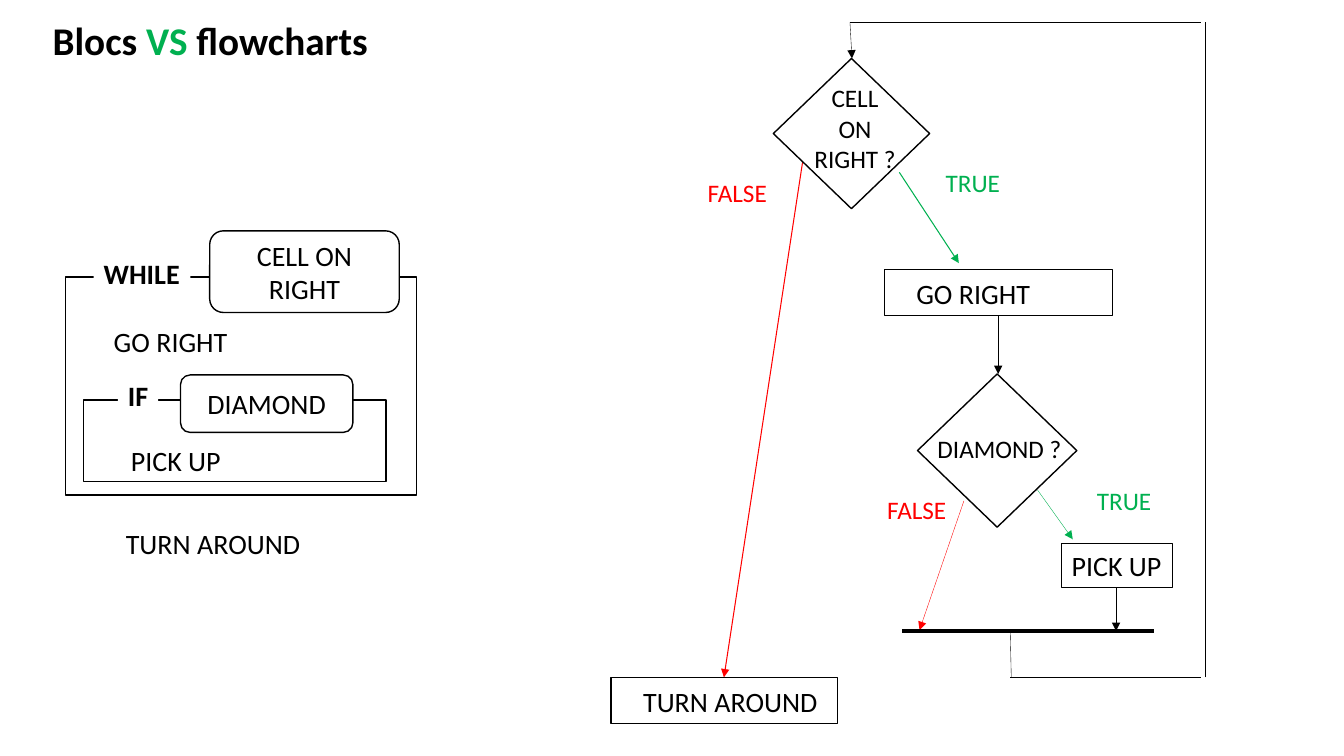
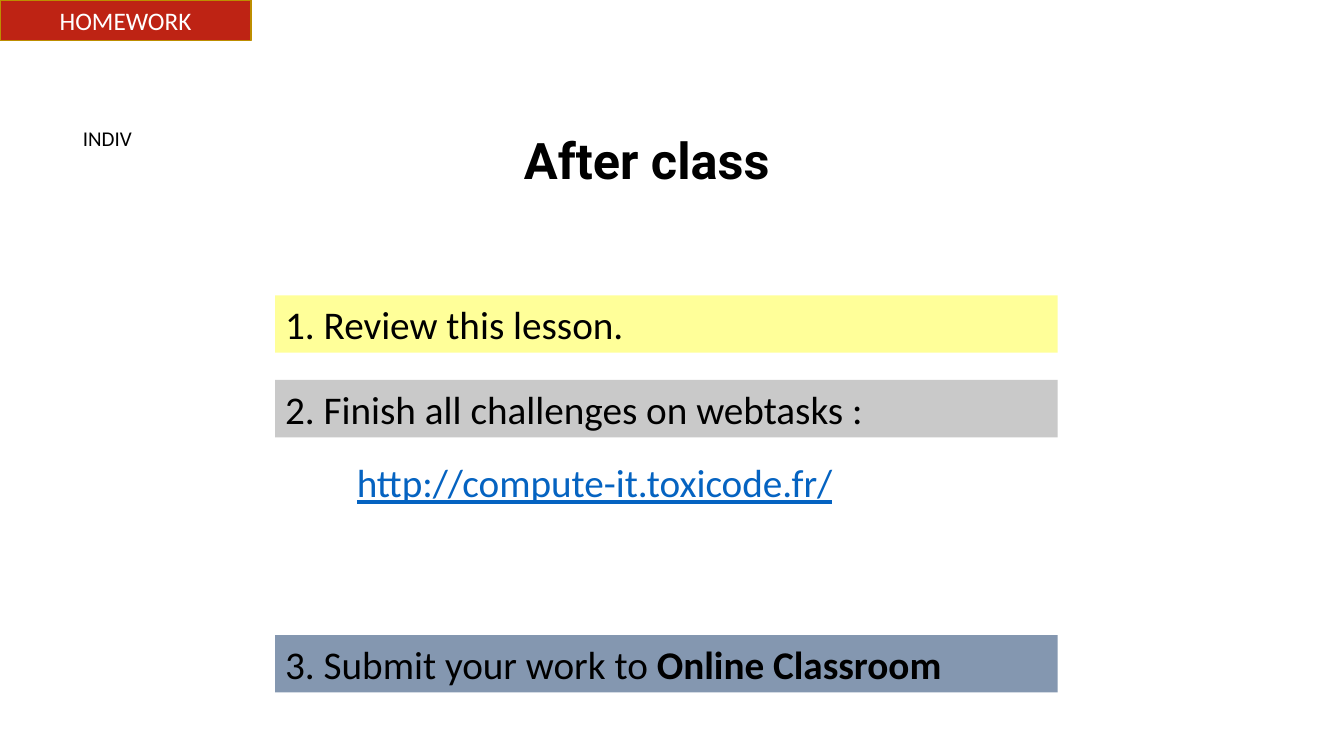
from dataclasses import dataclass

from lxml.etree import SubElement
from pptx import Presentation
from pptx.dml.color import RGBColor
from pptx.enum.shapes import MSO_CONNECTOR, MSO_SHAPE
from pptx.enum.text import MSO_ANCHOR, MSO_AUTO_SIZE, PP_ALIGN
from pptx.oxml.ns import qn
from pptx.shapes.base import BaseShape
from pptx.slide import Slide
from pptx.util import Pt

RECTANGLE = MSO_SHAPE.RECTANGLE
ROUNDED = MSO_SHAPE.ROUNDED_RECTANGLE
DIAMOND = MSO_SHAPE.DIAMOND
STRAIGHT = MSO_CONNECTOR.STRAIGHT
TOP, MIDDLE = MSO_ANCHOR.TOP, MSO_ANCHOR.MIDDLE
LEFT, CENTER = PP_ALIGN.LEFT, PP_ALIGN.CENTER
FIT_SHAPE, FIXED = MSO_AUTO_SIZE.SHAPE_TO_FIT_TEXT, MSO_AUTO_SIZE.NONE

EMU_PER_PX = 9144
SLIDE_WIDTH, SLIDE_HEIGHT = 1333, 750
TITLE_ONLY = 5
STEP_INDENT = 22


@dataclass(frozen=True)
class Theme:
    font: str = "Calibri"
    heading_font: str = "Roboto"
    black: str = "000000"
    white: str = "FFFFFF"
    true: str = "00B050"
    false: str = "FF0000"
    link: str = "0563C1"
    tag: str = "BE2314"
    tag_line: str = "BD8E00"
    yellow: str = "FFFF99"
    gray: str = "C9C9C9"
    blue: str = "8497B0"
    note: int = 15
    label: int = 18
    block: int = 20
    large: int = 28
    heading: int = 36
    hairline: float = 0.25
    thin: float = 0.75
    outline: float = 1
    bar: float = 3


THEME = Theme()


@dataclass(frozen=True)
class Span:
    text: str
    size: int = THEME.block
    color: str = THEME.black
    bold: bool = False
    underline: bool = False
    font: str = THEME.font


Area = tuple[int, int, int, int]
Lines = tuple[tuple[Span, ...], ...]


@dataclass(frozen=True)
class Box:
    """A text box when preset is None, otherwise a preset shape."""
    area: Area
    lines: Lines = ()
    preset: MSO_SHAPE | None = None
    fill: str | None = None
    line: str | None = None
    weight: float = THEME.outline
    align: PP_ALIGN = LEFT
    anchor: MSO_ANCHOR = TOP
    wrap: bool = True
    grow: bool = True
    step: bool = False


@dataclass(frozen=True)
class Arrow:
    start: tuple[int, int]
    end: tuple[int, int]
    color: str = THEME.black
    weight: float = THEME.hairline
    head: bool = True


def px(length: int) -> int:
    return length * EMU_PER_PX


def write_text(shape: BaseShape, box: Box) -> None:
    frame = shape.text_frame
    frame.word_wrap = box.wrap
    frame.auto_size = FIT_SHAPE if box.grow else FIXED
    frame.vertical_anchor = box.anchor
    for index, spans in enumerate(box.lines):
        para = frame.add_paragraph() if index else frame.paragraphs[0]
        para.alignment = box.align
        if box.step:
            properties = para._p.get_or_add_pPr()
            properties.set("marL", str(px(STEP_INDENT)))
            properties.set("indent", "0")
            para.line_spacing = 1.07
            para.space_after = Pt(8)
        for span in spans:
            run = para.add_run()
            run.text = span.text
            run.font.name = span.font
            run.font.size = Pt(span.size)
            run.font.bold = span.bold
            run.font.underline = span.underline
            run.font.color.rgb = RGBColor.from_string(span.color)


def draw_box(slide: Slide, box: Box) -> None:
    place = [px(length) for length in box.area]
    if box.preset is None:
        write_text(slide.shapes.add_textbox(*place), box)
        return
    shape = slide.shapes.add_shape(box.preset, *place)
    shape.shadow.inherit = False
    if box.fill:
        shape.fill.solid()
        shape.fill.fore_color.rgb = RGBColor.from_string(box.fill)
    else:
        shape.fill.background()
    if box.line:
        shape.line.color.rgb = RGBColor.from_string(box.line)
        shape.line.width = Pt(box.weight)
    else:
        shape.line.fill.background()
    if box.lines:
        write_text(shape, box)


def draw_arrow(slide: Slide, arrow: Arrow) -> None:
    ends = [px(length) for length in arrow.start + arrow.end]
    connector = slide.shapes.add_connector(STRAIGHT, *ends)
    connector.line.color.rgb = RGBColor.from_string(arrow.color)
    connector.line.width = Pt(arrow.weight)
    properties = connector._element.spPr
    if arrow.head:
        SubElement(properties.find(qn("a:ln")), qn("a:tailEnd"), type="triangle")
    SubElement(properties, qn("a:effectLst"))


def add_slide(deck: Presentation, title: Box) -> Slide:
    slide = deck.slides.add_slide(deck.slide_layouts[TITLE_ONLY])
    holder = slide.shapes.title
    holder.left, holder.top, holder.width, holder.height = map(px, title.area)
    write_text(holder, title)
    return slide


def step(area: Area, text: str, line: str | None = None) -> Box:
    """An indented instruction, framed when a line colour is given."""
    return Box(area, ((Span(text),),), RECTANGLE if line else None,
               line=line, weight=THEME.thin, step=True)


def condition(area: Area, text: str) -> Box:
    return Box(area, ((Span(text),),), ROUNDED, THEME.white, THEME.black,
               align=CENTER, anchor=MIDDLE, grow=False)


def block_frame(area: Area) -> Box:
    return Box(area, preset=RECTANGLE, line=THEME.black)


def keyword(area: Area, text: str) -> Box:
    return Box(area, ((Span(text, bold=True),),), RECTANGLE, THEME.white, wrap=False)


def decision(area: Area) -> Box:
    return Box(area, preset=DIAMOND, fill=THEME.white, line=THEME.black)


def label(area: Area, *texts: str, color: str = THEME.black, align: PP_ALIGN = LEFT) -> Box:
    lines = tuple((Span(text, THEME.label, color),) for text in texts)
    return Box(area, lines, align=align, wrap=False)


def true_label(left: int, top: int) -> Box:
    return label((left, top, 75, 40), "TRUE", color=THEME.true)


def false_label(left: int, top: int) -> Box:
    return label((left, top, 79, 40), "FALSE", color=THEME.false)


def task(top: int, fill: str, *spans: Span) -> Box:
    return Box((273, top, 776, 57), (spans,), RECTANGLE, fill, anchor=MIDDLE)


def large(text: str, color: str = THEME.black, bold: bool = False) -> Span:
    return Span(text, THEME.large, color, bold)


BLOCS = (
    step((81, 315, 270, 45), "GO RIGHT"),
    block_frame((65, 275, 348, 216)),
    condition((208, 229, 188, 81), "CELL ON RIGHT"),
    block_frame((83, 397, 300, 81)),
    keyword((117, 371, 40, 44), "IF"),
    keyword((93, 250, 96, 44), "WHILE"),
    condition((179, 372, 171, 57), "DIAMOND"),
    Box((120, 435, 110, 44), ((Span("PICK UP"),),), wrap=False),
    step((93, 515, 270, 45), "TURN AROUND"),
)

FLOW_ARROWS = (
    Arrow((796, 161), (718, 672), THEME.false, THEME.thin),
    Arrow((892, 171), (951, 261), THEME.true, THEME.thin),
    Arrow((990, 313), (990, 371)),
    Arrow((1029, 486), (1064, 535), THEME.true),
    Arrow((956, 497), (912, 625), THEME.false),
    Arrow((1107, 583), (1107, 626)),
    Arrow((895, 626), (1145, 626), weight=THEME.bar, head=False),
    Arrow((1003, 672), (1002, 627), head=False),
    Arrow((1191, 672), (1002, 672), head=False),
    Arrow((1195, 672), (1195, 22), head=False),
    Arrow((1191, 22), (843, 22), head=False),
    Arrow((843, 22), (845, 58)),
)

FLOW_BOXES = (
    decision((767, 58, 155, 149)),
    decision((910, 371, 158, 152)),
    step((606, 672, 225, 46), "TURN AROUND", THEME.black),
    step((877, 267, 226, 46), "GO RIGHT", THEME.black),
    Box((1053, 539, 110, 44), ((Span("PICK UP"),),), RECTANGLE,
        line=THEME.black, weight=THEME.thin, wrap=False),
    true_label(928, 161),
    false_label(692, 171),
    true_label(1078, 477),
    false_label(870, 486),
    label((797, 77, 102, 101), "CELL", "ON", "RIGHT ?", align=CENTER),
    label((920, 425, 144, 40), "DIAMOND ?"),
)

HOMEWORK = (
    task(293, THEME.yellow, large("1. Review this lesson.")),
    task(377, THEME.gray, large("2. Finish all challenges on webtasks :")),
    task(630, THEME.blue, large("3. Submit your work to "),
         large("Online Classroom", bold=True)),
    Box((0, 0, 249, 40), ((Span("HOMEWORK", THEME.label, THEME.white),),), RECTANGLE,
        THEME.tag, THEME.tag_line, align=CENTER),
    Box((72, 120, 69, 35), ((Span("INDIV", THEME.note),),), align=CENTER, wrap=False),
    Box((344, 450, 498, 57),
        ((Span("http://compute-it.toxicode.fr/", THEME.large, THEME.link, underline=True),),),
        wrap=False),
)


def add_flowchart_slide(deck: Presentation) -> None:
    title = (large("Blocs ", bold=True), large("VS", THEME.true, True),
             large(" flowcharts", bold=True))
    slide = add_slide(deck, Box((-1, 11, 419, 57), (title,), align=CENTER))
    for box in BLOCS:
        draw_box(slide, box)
    for arrow in FLOW_ARROWS:
        draw_arrow(slide, arrow)
    for box in FLOW_BOXES:
        draw_box(slide, box)


def add_homework_slide(deck: Presentation) -> None:
    title = Span("After class", THEME.heading, bold=True, font=THEME.heading_font)
    slide = add_slide(deck, Box((483, 123, 317, 71), ((title,),), align=CENTER))
    for box in HOMEWORK:
        draw_box(slide, box)


def main() -> None:
    deck = Presentation()
    deck.slide_width, deck.slide_height = px(SLIDE_WIDTH), px(SLIDE_HEIGHT)
    add_flowchart_slide(deck)
    add_homework_slide(deck)
    deck.save("out.pptx")


if __name__ == "__main__":
    main()
